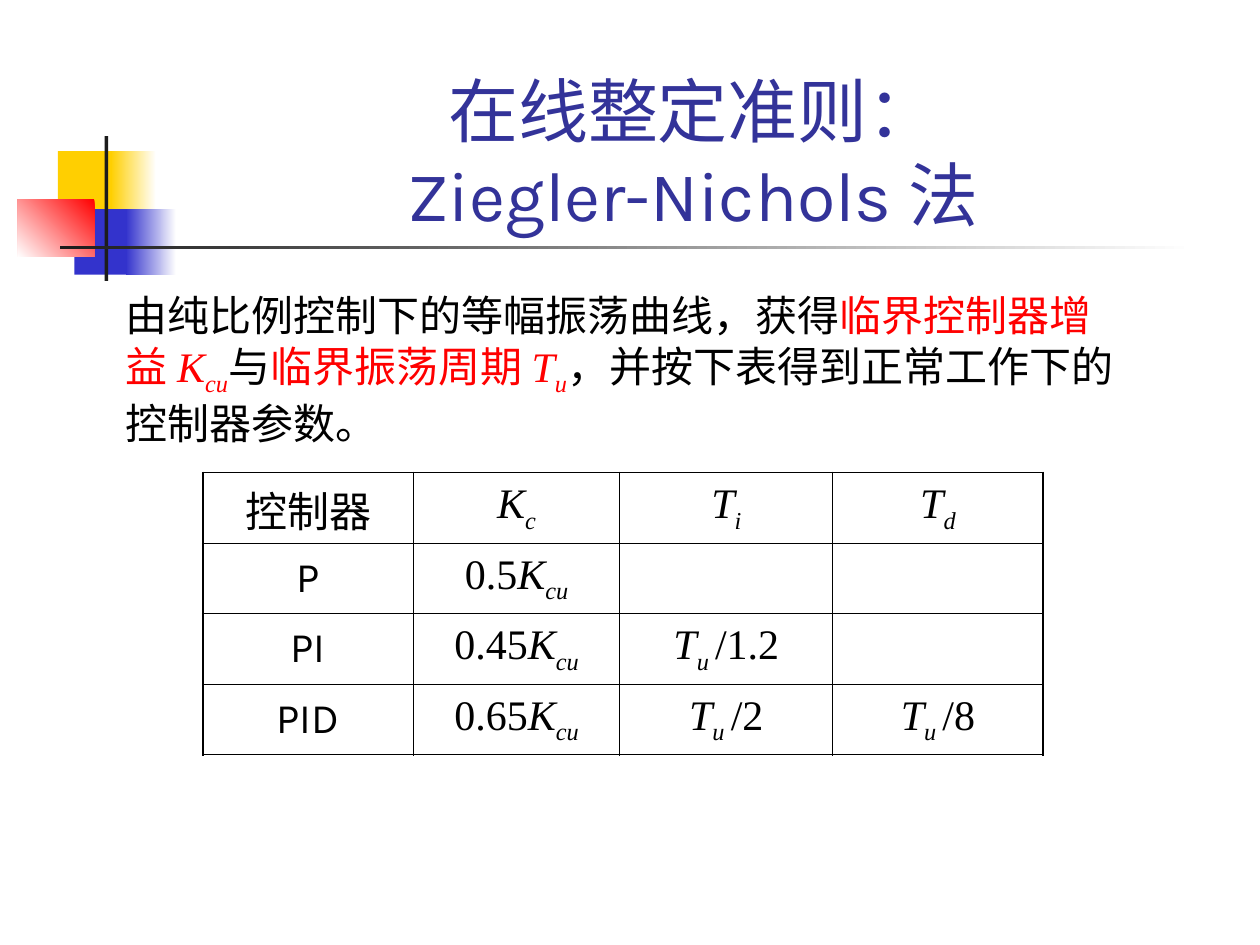
from lxml import etree
from pptx import Presentation
from pptx.dml.color import RGBColor
from pptx.enum import shapes, text
from pptx.oxml.ns import qn
from pptx.util import Inches, Pt

COLORS = {
    "white": "FFFFFF", "black": "000000", "ink": "1C1C1C", "title": "333399",
    "yellow": "FFCF01", "blue": "3333CC", "red": "FF0000",
}
SANS, SERIF = "Karla", "Times New Roman"
PLAIN, ITALIC, SUBSCRIPT = "plain", "italic", "subscript"


class SlideBuilder:
    def __init__(self, slide):
        self.slide = slide

    def color(self, name):
        return RGBColor.from_string(COLORS[name])

    def block(self, box, *colors, angle=180):
        shape = self.slide.shapes.add_shape(
            shapes.MSO_SHAPE.RECTANGLE, *map(Inches, box))
        shape.shadow.inherit = False
        shape.line.fill.background()
        if len(colors) == 1:
            shape.fill.solid()
            shape.fill.fore_color.rgb = self.color(colors[0])
            return
        shape.fill.gradient()
        shape.fill.gradient_angle = 360 - angle
        for stop, name in zip(shape.fill.gradient_stops, colors):
            stop.color.rgb = self.color(name)

    def add_runs(self, paragraph, pieces, size, font):
        for content, style, color in pieces:
            run = paragraph.add_run()
            run.text = content
            run.font.size = Pt(size)
            run.font.name = font
            run.font.color.rgb = self.color(color)
            run.font.italic = style != PLAIN
            if style == SUBSCRIPT:
                run._r.get_or_add_rPr().set("baseline", "-25000")

    def text_box(self, box):
        frame = self.slide.shapes.add_textbox(*map(Inches, box)).text_frame
        frame.word_wrap = True
        return frame

    def title(self, box, content):
        frame = self.text_box(box)
        frame.vertical_anchor = text.MSO_ANCHOR.BOTTOM
        paragraph = frame.paragraphs[0]
        paragraph.text = content
        paragraph.alignment = text.PP_ALIGN.CENTER
        for run in paragraph.runs:
            run.font.size = Pt(40)
            run.font.name = SANS
            run.font.color.rgb = self.color("title")

    def body(self, box, pieces):
        frame = self.text_box(box)
        frame.auto_size = text.MSO_AUTO_SIZE.SHAPE_TO_FIT_TEXT
        self.add_runs(frame.paragraphs[0], pieces, 24, SERIF)

    def border(self, cell, side, width):
        line = etree.SubElement(cell._tc.get_or_add_tcPr(), qn(f"a:{side}"), w=str(Pt(width)))
        fill = etree.SubElement(line, qn("a:solidFill"))
        etree.SubElement(fill, qn("a:srgbClr"), val=COLORS["black"])

    def table(self, box, widths, row_height, rows):
        table = self.slide.shapes.add_table(
            len(rows), len(widths), *map(Inches, box)).table
        table.first_row = table.horz_banding = False
        for column, width in zip(table.columns, widths):
            column.width = Inches(width)
        last_row, last_column = len(rows) - 1, len(widths) - 1
        for i, row in enumerate(rows):
            table.rows[i].height = Inches(row_height)
            for j, formula in enumerate(row):
                cell = table.cell(i, j)
                cell.vertical_anchor = text.MSO_ANCHOR.MIDDLE
                cell.margin_left = cell.margin_right = Inches(0.1)
                cell.margin_top = cell.margin_bottom = Inches(0.05)
                outer = {"lnL": j == 0, "lnR": j == last_column,
                         "lnT": i == 0, "lnB": i == last_row}
                for side, is_outer in outer.items():
                    self.border(cell, side, 1.08 if is_outer else 0.45)
                cell.fill.background()
                paragraph = cell.text_frame.paragraphs[0]
                paragraph.alignment = text.PP_ALIGN.CENTER
                pieces = [(content, style, "black") for content, style in formula]
                self.add_runs(paragraph, pieces, 24, SERIF if j else SANS)


def label(name):
    return [(name, PLAIN)]


def symbol(letter, index, before="", after=""):
    parts = [(before, PLAIN), (letter, ITALIC), (index, SUBSCRIPT), (after, PLAIN)]
    return [part for part in parts if part[0]]


def main():
    presentation = Presentation()
    presentation.slide_width = Inches(10)
    presentation.slide_height = Inches(7.5)
    builder = SlideBuilder(presentation.slides.add_slide(presentation.slide_layouts[6]))

    builder.block((0.46, 1.2, 0.48, 0.52), "yellow")
    builder.block((0.88, 1.2, 0.36, 0.52), "white", "yellow")
    builder.block((0.59, 1.66, 0.46, 0.52), "blue")
    builder.block((1, 1.66, 0.4, 0.52), "white", "blue")
    builder.block((0.14, 1.58, 0.61, 0.46), "red", "white", angle=135)
    builder.block((0.83, 1.08, 0.03, 1.15), "ink")
    builder.block((0.48, 1.95, 9, 0.03), "white", "ink")

    builder.title((1.22, 0.52, 8.56, 1.4), "在线整定准则：\vZiegler-Nichols 法")
    builder.table((1.61, 3.75, 6.67, 2.24), (1.67, 1.64, 1.69, 1.67), 0.56, [
        [label("控制器"), symbol("K", "c"), symbol("T", "i"), symbol("T", "d")],
        [label("P"), symbol("K", "cu", "0.5"), [], []],
        [label("PI"), symbol("K", "cu", "0.45"), symbol("T", "u ", after="/1.2"), []],
        [label("PID"), symbol("K", "cu", "0.65"), symbol("T", "u ", after="/2"),
         symbol("T", "u ", after="/8")],
    ])
    builder.body((0.9, 2.25, 8.19, 1.36), [
        ("由纯比例控制下的等幅振荡曲线，获得", PLAIN, "black"),
        ("临界控制器增益 ", PLAIN, "red"),
        ("K", ITALIC, "red"),
        ("cu", SUBSCRIPT, "red"),
        ("与", PLAIN, "black"),
        ("临界振荡周期 ", PLAIN, "red"),
        ("T", ITALIC, "red"),
        ("u", SUBSCRIPT, "red"),
        ("，并按下表得到正常工作下的控制器参数。", PLAIN, "black"),
    ])
    presentation.save("out.pptx")


if __name__ == "__main__":
    main()
